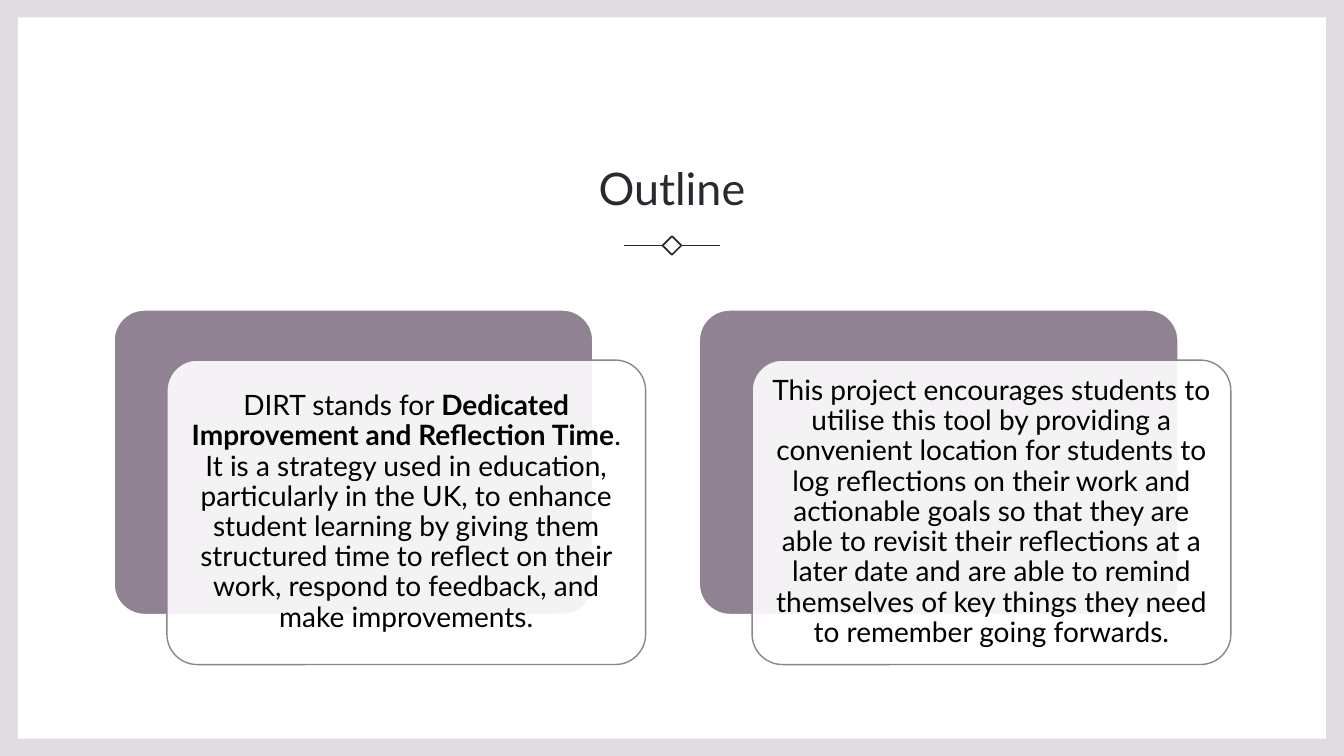
from lxml import etree
from pptx import Presentation
from pptx.dml.color import RGBColor
from pptx.enum import shapes, text
from pptx.oxml.ns import qn
from pptx.util import Pt

# Content
HEADING = "Outline"
CARDS = [
    [("DIRT stands for ", False),
     ("Dedicated Improvement and Reflection Time", True),
     (". It is a strategy used in education, particularly in the UK, to enhance "
      "student learning by giving them structured time to reflect on their work, "
      "respond to feedback, and make improvements.", False)],
    [("This project encourages students to utilise this tool by providing a "
      "convenient location for students to log reflections on their work and "
      "actionable goals so that they are able to revisit their reflections at a "
      "later date and are able to remind themselves of key things they need to "
      "remember going forwards.", False)],
]

# Look and layout, in points
FONT = "Lato"
INK, MAUVE, PALE, WHITE, BLACK = "2C2830", "908193", "E0DCE1", "FFFFFF", "000000"
WIDTH, HEIGHT = 960, 540
BORDER_X, BORDER_Y = 12.85, 12.35
MARGIN = 81.5
CARD_W, CARD_H, CARD_TOP, CARD_STEP = 342, 217.5, 221.4, 418
OFFSET_X, OFFSET_Y = 37.7, 35.8
MARK_Y, MARK_SIZE, RULE_GAP, RULE_LENGTH = 175.4, 9.4, 6.5, 27.8
RULE_WEIGHT = 1.25


def color(hex_code):
    return RGBColor.from_string(hex_code)


def style_line(line, hex_code, weight):
    line.color.rgb = color(hex_code)
    line.width = Pt(weight)


def add_box(kind, box, fill=None, line=None, weight=1):
    shape = slide.shapes.add_shape(kind, *map(Pt, box))
    shape.shadow.inherit = False
    if fill:
        shape.fill.solid()
        shape.fill.fore_color.rgb = color(fill)
    else:
        shape.fill.background()
    if line:
        style_line(shape.line, line, weight)
    else:
        shape.line.fill.background()
    return shape


def write(shape, runs, size, ink, spacing, frame_format):
    frame = shape.text_frame
    for name, value in {"word_wrap": True, **frame_format}.items():
        setattr(frame, name, value)
    paragraph = frame.paragraphs[0]
    paragraph.alignment = text.PP_ALIGN.CENTER
    paragraph.line_spacing = spacing
    for words, bold in runs:
        run = paragraph.add_run()
        run.text = words
        run.font.color.rgb = color(ink)
        for name, value in {"name": FONT, "size": Pt(size), "bold": bold}.items():
            setattr(run.font, name, value)


prs = Presentation()
prs.slide_width, prs.slide_height = Pt(WIDTH), Pt(HEIGHT)
slide = prs.slides.add_slide(prs.slide_layouts[6])
RECT = shapes.MSO_SHAPE.RECTANGLE
ROUNDED = shapes.MSO_SHAPE.ROUNDED_RECTANGLE

# Pale border around a white page
add_box(RECT, (0, 0, WIDTH, HEIGHT), PALE)
add_box(RECT, (BORDER_X, BORDER_Y, WIDTH - 2 * BORDER_X, HEIGHT - 2 * BORDER_Y), WHITE)

# Heading
heading = slide.shapes.add_textbox(*map(Pt, (MARGIN, 75.6, WIDTH - 2 * MARGIN, 81.4)))
write(heading, [(HEADING, False)], 32, INK, 1.1,
      {"vertical_anchor": text.MSO_ANCHOR.BOTTOM})

# Diamond between two rules
center = WIDTH / 2
diamond = add_box(RECT, (center - MARK_SIZE / 2, MARK_Y - MARK_SIZE / 2,
                         MARK_SIZE, MARK_SIZE), line=INK, weight=RULE_WEIGHT)
diamond.rotation = 45
for side in (-1, 1):
    inner = center + side * RULE_GAP
    outer = inner + side * RULE_LENGTH
    rule = slide.shapes.add_connector(
        shapes.MSO_CONNECTOR.STRAIGHT, *map(Pt, (inner, MARK_Y, outer, MARK_Y)))
    style_line(rule.line, INK, RULE_WEIGHT)
    etree.SubElement(rule._element.spPr, qn("a:effectLst"))

# Cards, each over a mauve backing
card_format = {"vertical_anchor": text.MSO_ANCHOR.MIDDLE}
card_format.update({f"margin_{side}": Pt(6) for side in ("left", "top", "right", "bottom")})
for index, runs in enumerate(CARDS):
    left = MARGIN + index * CARD_STEP
    backing = add_box(ROUNDED, (left, CARD_TOP, CARD_W, CARD_H), MAUVE, WHITE)
    card = add_box(ROUNDED, (left + OFFSET_X, CARD_TOP + OFFSET_Y, CARD_W, CARD_H),
                   WHITE, MAUVE)
    for panel in (backing, card):
        panel.adjustments[0] = 0.1
    tint = card._element.spPr.find(qn("a:solidFill"))[0]
    etree.SubElement(tint, qn("a:alpha"), val="90000")
    write(card, runs, 20, BLACK, 0.9, card_format)

prs.save("out.pptx")
